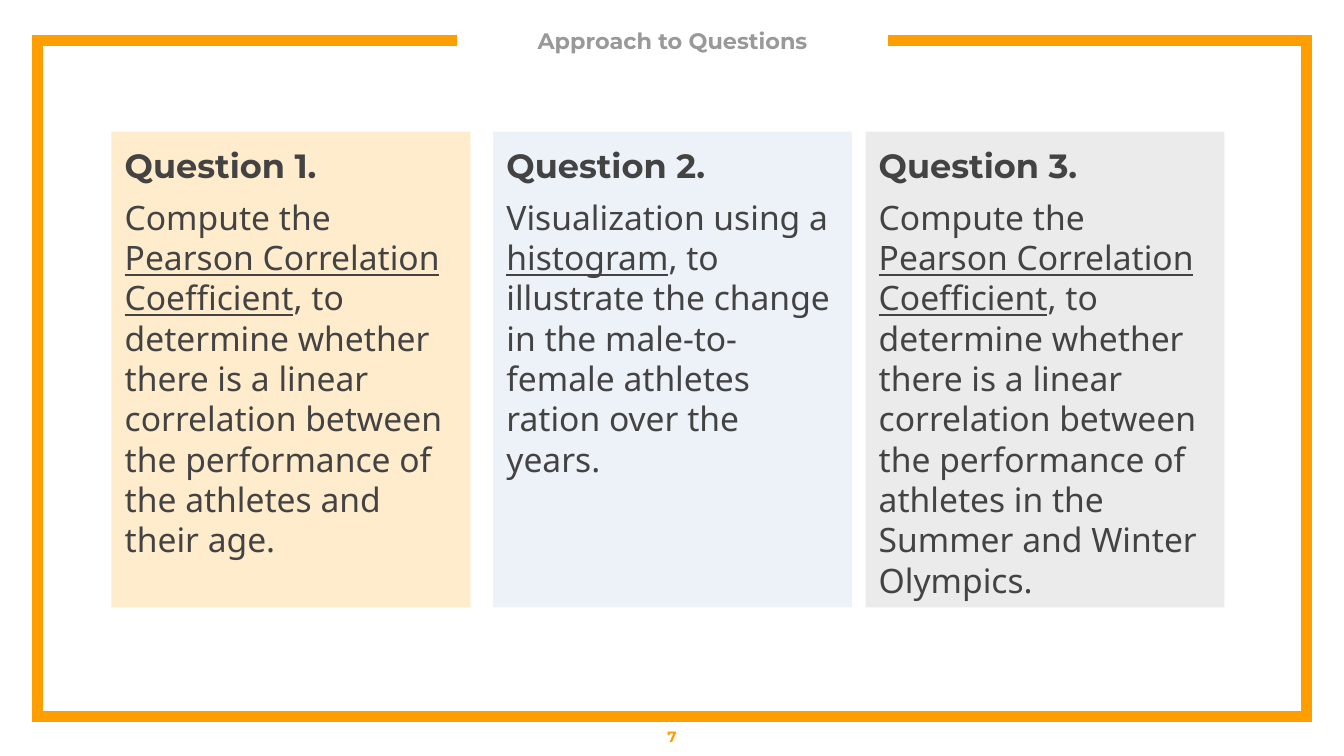
from lxml.etree import SubElement
from pptx import Presentation
from pptx.dml.color import RGBColor as Rgb
from pptx.enum.shapes import MSO_SHAPE as Form
from pptx.enum.text import MSO_ANCHOR as Anchor, PP_ALIGN as Align
from pptx.oxml.ns import qn
from pptx.util import Inches, Pt

HUES = {
    "frame": "FF9E00", "title": "999999", "text": "434343",
    "sand": "FFECCC", "sky": "ECF2F8", "mist": "EBEBEB",
}
HEAD, BODY = "Montserrat", "Noto Sans"


def hue(name):
    return Rgb.from_string(HUES[name])


class Page:
    def __init__(self, slide):
        self.shapes = slide.shapes

    def style(self, run, size, color, font=HEAD, bold=True):
        run.font.name = font
        run.font.size = Pt(size)
        run.font.bold = bold
        run.font.color.rgb = hue(color)

    def inset(self, frame, gap):
        frame.word_wrap = True
        frame.margin_left = frame.margin_right = Inches(gap)
        frame.margin_top = frame.margin_bottom = Inches(gap)

    def frame(self, points, width):
        """Draw an open outline with sharp corners."""
        start, *rest = [(Inches(x), Inches(y)) for x, y in points]
        pen = self.shapes.build_freeform(*start)
        pen.add_line_segments(rest, close=False)
        shape = pen.convert_to_shape()
        shape.shadow.inherit = False
        shape.fill.background()
        shape.line.color.rgb = hue("frame")
        shape.line.width = Pt(width)
        SubElement(shape.line._get_or_add_ln(), qn("a:miter"), lim="800000")

    def label(self, box, text, size, color, gap):
        """Add one centred bold line."""
        frame = self.shapes.add_textbox(*map(Inches, box)).text_frame
        self.inset(frame, gap)
        frame.vertical_anchor = Anchor.MIDDLE
        frame.text = text
        para = frame.paragraphs[0]
        para.alignment = Align.CENTER
        self.style(para.runs[0], size, color)

    def card(self, box, fill, title, parts):
        """Add a filled card; the middle part is underlined."""
        shape = self.shapes.add_shape(Form.RECTANGLE, *map(Inches, box))
        shape.shadow.inherit = False
        shape.fill.solid()
        shape.fill.fore_color.rgb = hue(fill)
        shape.line.fill.background()
        frame = shape.text_frame
        self.inset(frame, 0.1)
        frame.vertical_anchor = Anchor.TOP
        frame.text = title
        head = frame.paragraphs[0]
        head.alignment = Align.LEFT
        self.style(head.runs[0], 18, "text")
        para = frame.add_paragraph()
        para.alignment = Align.LEFT
        para.space_before = Pt(6)
        for i, part in enumerate(parts):
            run = para.add_run()
            run.text = part
            self.style(run, 18, "text", BODY, False)
            run.font.underline = i == 1


def main():
    deck = Presentation()
    deck.slide_width = Inches(10)
    deck.slide_height = Inches(10) * 9 // 16
    page = Page(deck.slides.add_slide(deck.slide_layouts[6]))

    # Frame, open at the top for the title
    left, right, top, base = 0.28, 9.72, 0.3, 5.33
    page.frame([(3.4, top), (left, top), (left, base),
                (right, base), (right, top), (6.61, top)], 6)
    page.label((3.55, 0.11, 2.91, 0.39), "Approach to Questions", 12, "title", 0)

    # Question cards
    pearson = ("Compute the ", "Pearson Correlation Coefficient")
    linear = (", to determine whether there is a linear correlation "
              "between the performance of ")
    cards = [
        (0.83, "sand", (*pearson, linear + "the athletes and their age.")),
        (3.67, "sky", ("Visualization using a ", "histogram",
                       ", to illustrate the change in the male-to-female "
                       "athletes ration over the years.")),
        (6.44, "mist", (*pearson, linear + "athletes in the Summer and "
                        "Winter Olympics.")),
    ]
    for num, (x, fill, parts) in enumerate(cards, 1):
        page.card((x, 0.98, 2.67, 3.54), fill, f"Question {num}.", parts)

    # Page number
    page.label((0, base, 10, 0.3), "7", 8, "frame", 0.1)

    deck.save("out.pptx")


if __name__ == "__main__":
    main()
